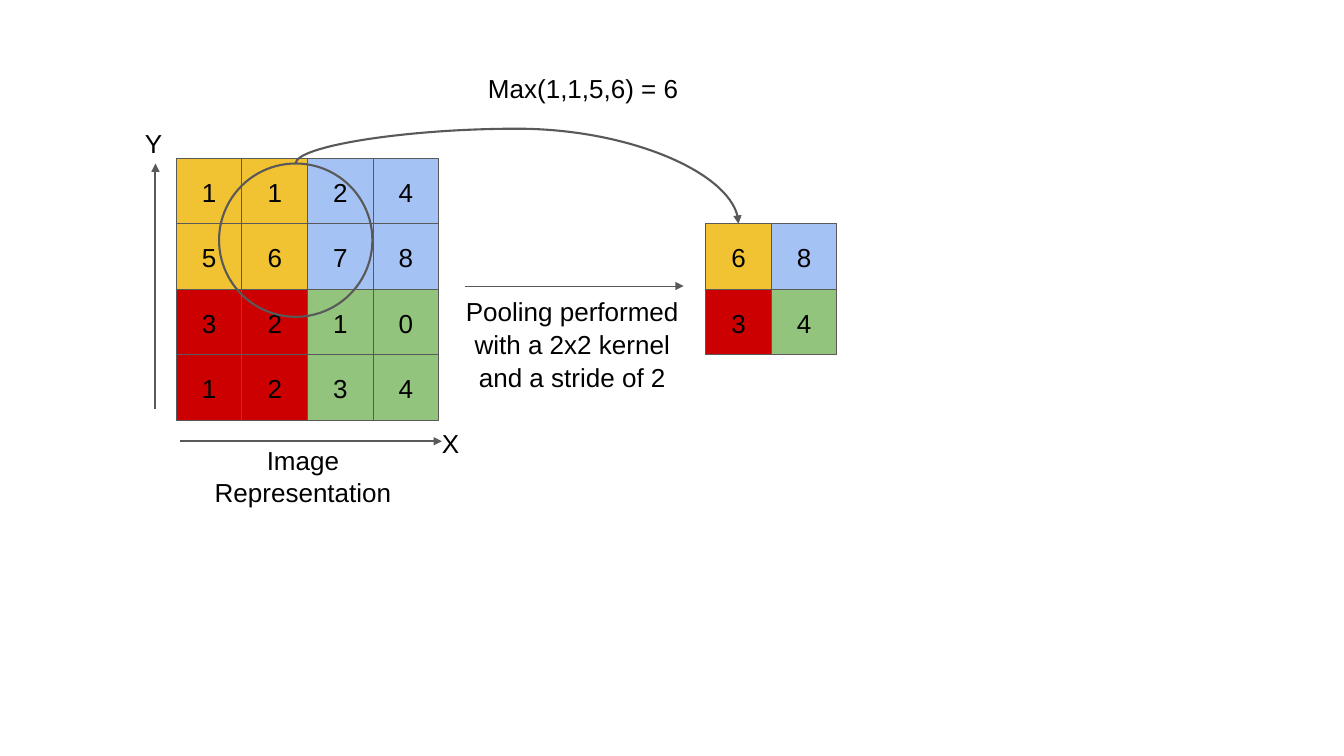
from lxml import etree
from pptx import Presentation, util as u
from pptx.dml.color import RGBColor
from pptx.enum import shapes, text
from pptx.oxml.ns import qn

INK = {"gold": "F1C232", "blue": "A4C2F4", "red": "CC0000", "green": "93C47D",
       "line": "595959", "text": "000000"}
CELL = 0.65
TONES = [["gold", "blue"], ["red", "green"]]


def size(n):
    """Turn a count of cells into a length."""
    return u.Inches(n * CELL)


def place(box, col, row):
    """Find the point that lies some columns and rows into a box."""
    return u.Inches(box[0]) + size(col), u.Inches(box[1]) + size(row)


def color(name):
    """Look up a named colour."""
    return RGBColor.from_string(INK[name])


def write(frame, words, align, anchor):
    """Set one run of text in a frame."""
    frame.word_wrap = True
    frame.vertical_anchor = anchor
    frame.margin_left = frame.margin_right = u.Inches(0.13)
    frame.margin_top = frame.margin_bottom = u.Inches(0.13)
    para = frame.paragraphs[0]
    para.alignment = align
    para.line_spacing = 1.05
    run = para.add_run()
    run.text = words
    run.font.size = u.Pt(18.6)
    run.font.name = "Arial"
    run.font.color.rgb = color("text")


def label(slide, box, col, row, wide, high, words,
          align=text.PP_ALIGN.LEFT, anchor=text.MSO_ANCHOR.TOP):
    """Place a text box, measured in cells."""
    area = slide.shapes.add_textbox(*place(box, col, row), size(wide), size(high))
    write(area.text_frame, words, align, anchor)


def arrow(slide, start, end, weight, kind=shapes.MSO_CONNECTOR.STRAIGHT):
    """Draw a line with a triangle at its end."""
    link = slide.shapes.add_connector(kind, *start, *end)
    link.line.color.rgb = color("line")
    link.line.width = u.Pt(weight)
    etree.SubElement(link.line._get_or_add_ln(), qn("a:tailEnd"), type="triangle")
    etree.SubElement(link._element.spPr, qn("a:effectLst"))
    return link


def form(slide, kind, spot, side, weight, fill=None):
    """Draw an outlined shape as wide as it is high."""
    item = slide.shapes.add_shape(kind, *spot, size(side), size(side))
    item.shadow.inherit = False
    if fill:
        item.fill.solid()
        item.fill.fore_color.rgb = color(fill)
    else:
        item.fill.background()
    item.line.color.rgb = color("line")
    item.line.width = u.Pt(weight)
    return item


def matrix(slide, box, rows):
    """Fill a box with square cells, one tone to each quarter."""
    half = len(rows) // 2
    cells = []
    for r, row in enumerate(rows):
        for c, value in enumerate(row):
            cell = form(slide, shapes.MSO_SHAPE.RECTANGLE, place(box, c, r), 1,
                        0.75, TONES[r // half][c // half])
            write(cell.text_frame, value, text.PP_ALIGN.CENTER,
                  text.MSO_ANCHOR.MIDDLE)
            cells.append(cell)
    return cells


def source(slide, box):
    """Build the input matrix with its axes and ring."""
    matrix(slide, box, ["1124", "5678", "3210", "1234"])
    arrow(slide, place(box, 0.05, 4.32), place(box, 4.05, 4.32), 1.5)
    arrow(slide, place(box, -0.32, 3.82), place(box, -0.32, 0.08), 1.5)
    label(slide, box, 0, 4.14, 3.86, 1.55, "Image Representation",
          text.PP_ALIGN.CENTER)
    label(slide, box, -0.68, -0.69, 1, 1.55, "Y")
    label(slide, box, 3.85, 3.89, 1, 1.55, "X")
    return form(slide, shapes.MSO_SHAPE.OVAL, place(box, 0.65, 0.08), 2.34, 1.5)


def step(slide, box):
    """Build the arrow and caption of the pooling step."""
    arrow(slide, place(box, 0.43, 0.12), place(box, 3.77, 0.12), 0.75)
    label(slide, box, 0, 0, 4.14, 1.98,
          "Pooling performed with a 2x2 kernel and a stride of 2",
          text.PP_ALIGN.CENTER, text.MSO_ANCHOR.MIDDLE)


def arc(slide, box, ring, cell):
    """Curve from the top of the ring to the top of a cell, with its caption."""
    x1, y1 = ring.left + ring.width // 2, ring.top
    x2, y2 = cell.left + cell.width // 2, cell.top
    link = arrow(slide, (x1, y1), (x2, y2), 1.5, shapes.MSO_CONNECTOR.CURVE)
    wide, high = x2 - x1, y2 - y1
    link.left, link.top = (x1 + x2 - high) // 2, (y1 + y2 - wide) // 2
    link.width, link.height = high, wide
    frame = link._element.spPr.find(qn("a:xfrm"))
    frame.set("rot", str(270 * 60000))
    frame.set("flipH", "1")
    guides = link._element.spPr.find(qn("a:prstGeom")).find(qn("a:avLst"))
    etree.SubElement(guides, qn("a:gd"), name="adj1", fmla="val -57800")
    label(slide, box, 0, 0, 3.86, 1.55, "Max(1,1,5,6) = 6")


def main():
    """Build and save the slide."""
    deck = Presentation()
    deck.slide_width, deck.slide_height = u.Inches(13.33), u.Inches(7.5)
    slide = deck.slides.add_slide(deck.slide_layouts[6])
    ring = source(slide, (1.75, 1.57))
    pooled = matrix(slide, (7, 2.22), ["68", "34"])
    arc(slide, (4.71, 0.57), ring, pooled[0])
    step(slide, (4.33, 2.76))
    deck.save("out.pptx")


if __name__ == "__main__":
    main()
